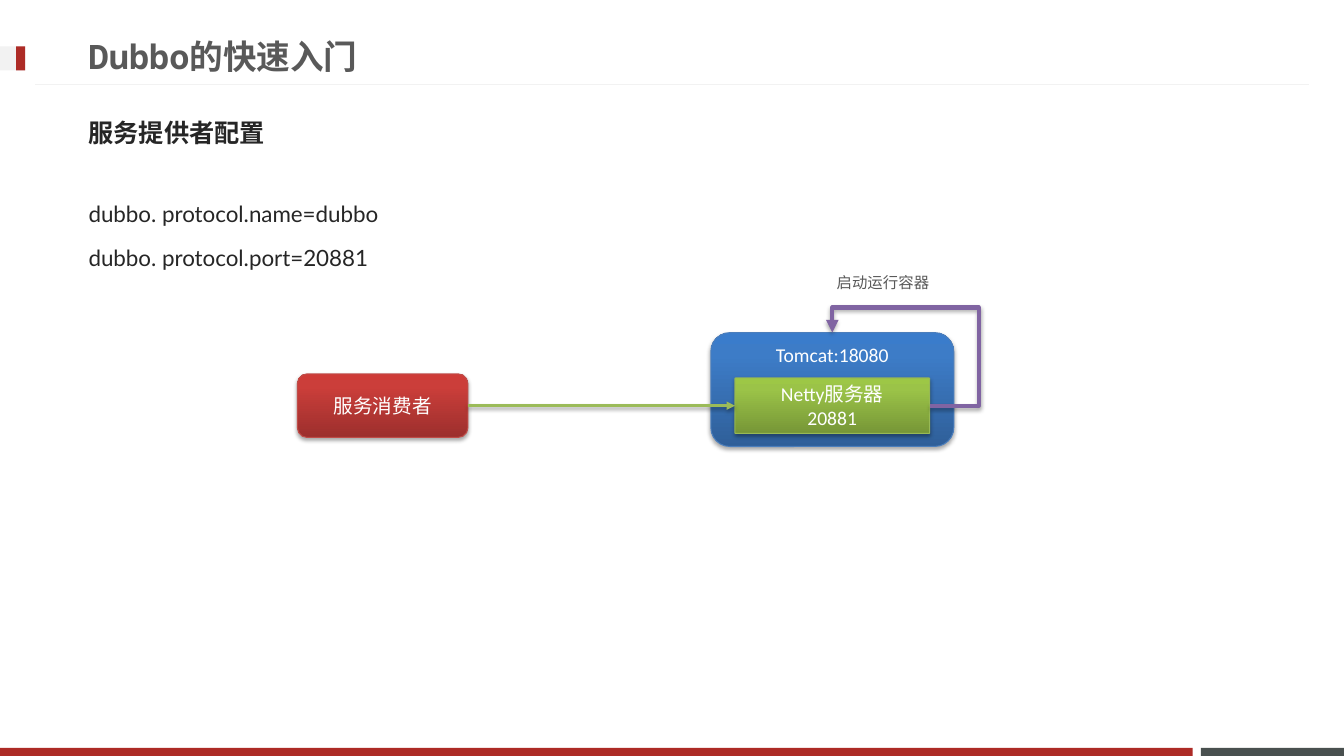
from lxml import etree
from pptx import Presentation
from pptx.dml.color import RGBColor
from pptx.enum.shapes import MSO_CONNECTOR as Conn, MSO_SHAPE as Form
from pptx.enum.text import MSO_ANCHOR as Anchor, PP_ALIGN as Align
from pptx.oxml import parse_xml
from pptx.oxml.ns import nsdecls, qn
from pptx.util import Inches, Pt

# Content
TITLE = "Dubbo的快速入门"
HEAD = "服务提供者配置"
CODE = ["dubbo. protocol.name=dubbo", "dubbo. protocol.port=20881"]
NOTE = "启动运行容器"
CJK = "Noto Sans CJK JP"

# Left, top, width, height, colour
BARS = [
    (11.91, 7.42, 1.42, 0.08, "49504F"),
    (0, 7.42, 11.83, 0.08, "AD2B26"),
    (0, 0.46, 0.25, 0.24, "F2F2F2"),
    (0.16, 0.46, 0.09, 0.24, "AD2B26"),
]
# Name: lines, place, corner, gradient from the bottom up, edge, anchor
NODES = {
    "tomcat": (["Tomcat:18080"], (7.05, 3.3, 2.41, 1.13), 0.167,
               ("2F5F99", "3D7CC7", "3A7CCB"), "4B7EBC", Anchor.TOP),
    "netty": (["Netty服务器", "20881"], (7.29, 3.75, 1.93, 0.55), 0.01,
              ("779737", "9BC348", "9DC746"), "98B955", Anchor.MIDDLE),
    "user": (["服务消费者"], (2.95, 3.71, 1.69, 0.63), 0.149,
             ("9C2F2D", "CB3E3A", "CE3B37"), "BF4C48", Anchor.MIDDLE),
}
STOPS = (0, 80, 100)

prs = Presentation()
prs.slide_width, prs.slide_height = Inches(13.33), Inches(7.5)
slide = prs.slides.add_slide(prs.slide_layouts[5])
shapes = slide.shapes


def rgb(code):
    return RGBColor.from_string(code)


def place(shape, *box):
    for name, size in zip(("left", "top", "width", "height"), box):
        setattr(shape, name, Inches(size))


def write(shape, lines, font, color, anchor=Anchor.TOP, align=Align.LEFT,
          wrap=True, gap=None):
    frame = shape.text_frame
    frame.word_wrap, frame.vertical_anchor = wrap, anchor
    for i, line in enumerate(lines):
        para = frame.add_paragraph() if i else frame.paragraphs[0]
        para.alignment = align
        if gap:
            para.line_spacing = gap
            para.space_before = Pt(3.2 if i else 0)
        run = para.add_run()
        run.text = line
        for name, value in font.items():
            setattr(run.font, name, value)
        run.font.color.rgb = rgb(color)
        etree.SubElement(run.font._element, qn("a:ea")).set("typeface", CJK)


def shade(shape, alpha=35, dist=1.8):
    """Soft shadow straight below the shape."""
    props = shape._element.spPr
    for old in props.findall(qn("a:effectLst")):
        props.remove(old)
    props.append(parse_xml(
        f'<a:effectLst {nsdecls("a")}><a:outerShdw blurRad="{Pt(3.1)}" '
        f'dist="{Pt(dist)}" dir="5400000" rotWithShape="0">'
        f'<a:srgbClr val="000000"><a:alpha val="{alpha * 1000}"/></a:srgbClr>'
        '</a:outerShdw></a:effectLst>'))


def link(kind, start, end, color, width):
    line = shapes.add_connector(kind, 0, 0, 0, 0)
    line.begin_connect(*start)
    line.end_connect(*end)
    line.line.color.rgb, line.line.width = rgb(color), Pt(width)
    etree.SubElement(line.line._ln, qn("a:tailEnd")).set("type", "triangle")
    return line


# Frame of the page
for *box, color in BARS:
    bar = shapes.add_shape(Form.RECTANGLE, *map(Inches, box))
    bar.shadow.inherit = False
    bar.fill.solid()
    bar.fill.fore_color.rgb = rgb(color)
    bar.line.fill.background()
rule = shapes.add_connector(Conn.STRAIGHT, *map(Inches, (12.98, 0.84, 0.35, 0.84)))
rule.line.color.rgb, rule.line.width = rgb("F2F2F2"), Pt(0.75)
etree.SubElement(rule._element.spPr, qn("a:effectLst"))

# Texts
title = shapes.title
place(title, 0.78, 0.27, 9.59, 0.57)
write(title, [TITLE], {"size": Pt(24), "name": "Noto Sans Mono", "bold": True},
      "595959", Anchor.MIDDLE)
code = shapes.add_textbox(*map(Inches, (0.78, 1.8, 11.76, 1.14)))
write(code, CODE, {"size": Pt(16), "name": "Lato"}, "262626", gap=1.5)
head = shapes.add_textbox(*map(Inches, (0.78, 1.03, 11.76, 0.57)))
write(head, [HEAD], {"size": Pt(18), "name": CJK, "bold": True}, "262626",
      Anchor.MIDDLE)
note = shapes.add_textbox(*map(Inches, (8.2, 2.66, 1.13, 0.29)))
write(note, [NOTE], {"size": Pt(11), "name": CJK}, "595959", wrap=False)

# Nodes
made = {}
for name, (lines, box, corner, tones, edge, anchor) in NODES.items():
    node = made[name] = shapes.add_shape(Form.ROUNDED_RECTANGLE, *map(Inches, box))
    node.adjustments[0] = corner
    node.line.color.rgb, node.line.width = rgb(edge), Pt(0.75)
    stops = "".join(f'<a:gs pos="{pos * 1000}"><a:srgbClr val="{tone}"/></a:gs>'
                    for pos, tone in zip(STOPS, tones))
    node._element.spPr.insert(2, parse_xml(
        f'<a:gradFill {nsdecls("a")} rotWithShape="1"><a:gsLst>{stops}</a:gsLst>'
        '<a:lin ang="16200000" scaled="0"/></a:gradFill>'))
    shade(node)
    write(node, lines, {"size": Pt(14), "name": "Calibri"}, "FFFFFF",
          anchor, Align.CENTER)

# Call from the consumer, and the loop that starts the container
call = link(Conn.STRAIGHT, (made["user"], 3), (made["netty"], 1), "9BBB59", 2)
shade(call, 38, 1.6)
loop = link(Conn.ELBOW, (made["netty"], 3), (made["tomcat"], 0), "8064A2", 3)
geom = loop._element.spPr.find(qn("a:prstGeom"))
geom.set("prst", "bentConnector4")
bends = geom.find(qn("a:avLst"))
for name, value in (("adj1", -50500), ("adj2", 134300)):
    bend = etree.SubElement(bends, qn("a:gd"))
    bend.set("name", name)
    bend.set("fmla", f"val {value}")
shade(loop)

prs.save("out.pptx")
